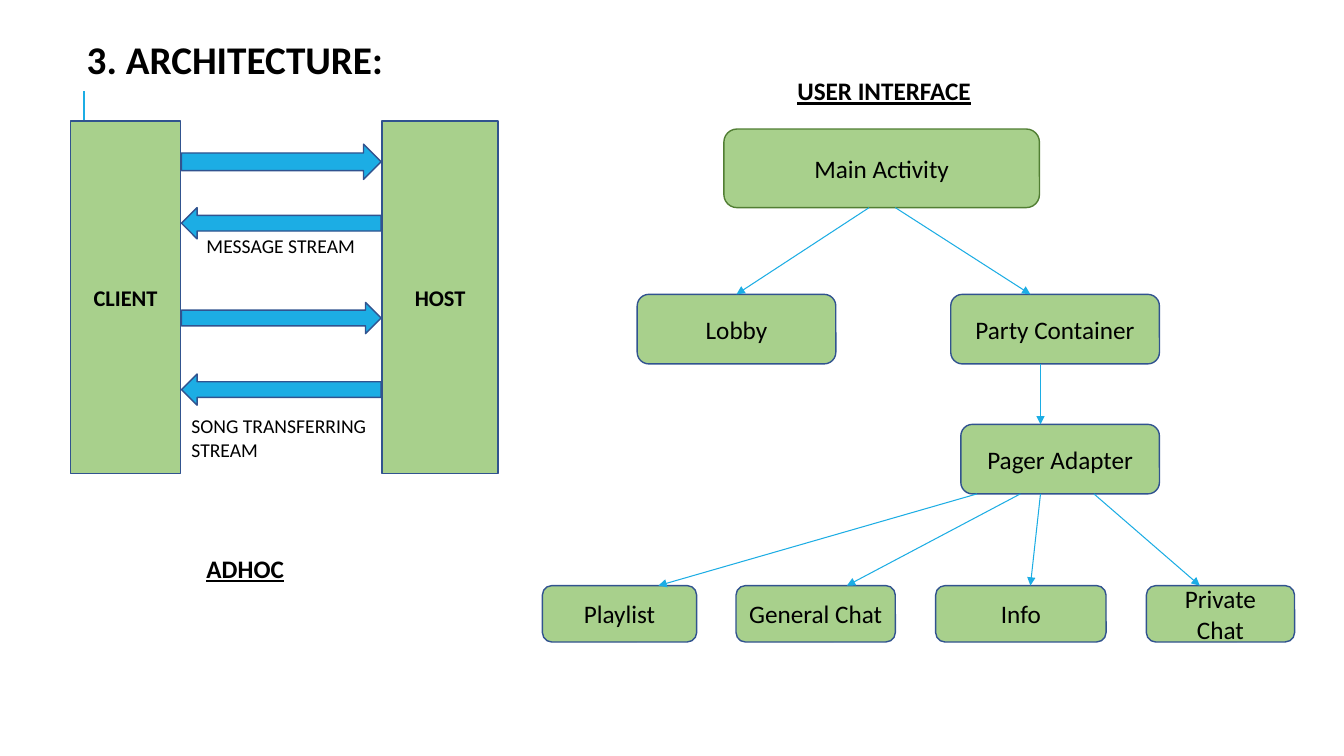
from lxml import etree
from pptx import Presentation
from pptx import util as u
from pptx.dml.color import RGBColor
from pptx.enum import shapes, text
from pptx.oxml.ns import qn

COLORS = {"box": "A8D08C", "edge": "31538F", "root_edge": "517E33",
          "accent": "1CADE4", "ink": "000000"}
FONT = "Calibri"
SLIDE_W, SLIDE_H = u.Inches(13.33), u.Inches(7.5)
CELL = SLIDE_H / 75  # side of one square grid cell; the slide has 75 rows
KIND = shapes.MSO_SHAPE


def color(name):
    return RGBColor.from_string(COLORS[name])


def cells(*counts):
    return [u.Emu(round(n * CELL)) for n in counts]


def write(holder, words, size, bold=False, underline=False, inset=0.05,
          align=text.PP_ALIGN.LEFT, anchor=text.MSO_ANCHOR.TOP):
    frame = holder.text_frame
    frame.word_wrap = True
    frame.auto_size = text.MSO_AUTO_SIZE.NONE
    frame.vertical_anchor = anchor
    frame.margin_left = frame.margin_right = u.Inches(0.1)
    frame.margin_top = frame.margin_bottom = u.Inches(inset)
    paragraph = frame.paragraphs[0]
    paragraph.alignment = align
    run = paragraph.add_run()
    run.text = words
    run.font.name, run.font.size = FONT, u.Pt(size)
    run.font.bold, run.font.underline = bold, underline
    run.font.color.rgb = color("ink")


def add_label(slide, box, words, size, **style):
    write(slide.shapes.add_textbox(*cells(*box)), words, size, **style)


def add_block(slide, kind, box, fill="box", edge="edge"):
    block = slide.shapes.add_shape(kind, *cells(*box))
    block.shadow.inherit = False
    block.fill.solid()
    block.fill.fore_color.rgb = color(fill)
    block.line.color.rgb = color(edge)
    block.line.width = u.Pt(1)
    return block


def add_node(slide, kind, box, words, size, bold=False, edge="edge"):
    node = add_block(slide, kind, box, edge=edge)
    write(node, words, size, bold, align=text.PP_ALIGN.CENTER,
          anchor=text.MSO_ANCHOR.MIDDLE)
    return node


def add_line(slide, start, end, width, arrow=False):
    line = slide.shapes.add_connector(shapes.MSO_CONNECTOR.STRAIGHT,
                                      *cells(*start, *end))
    line.line.color.rgb = color("accent")
    line.line.width = u.Pt(width)
    if arrow:
        outline = line.line._get_or_add_ln()
        etree.SubElement(outline, qn("a:tailEnd"), type="triangle")
    etree.SubElement(line._element.spPr, qn("a:effectLst"))
    return line


def add_title(slide, box):
    title = slide.shapes.title
    title.left, title.top, title.width, title.height = cells(*box)
    write(title, "3. ARCHITECTURE:", 28, bold=True, inset=0.1,
          anchor=text.MSO_ANCHOR.MIDDLE)
    title.text_frame.margin_left = u.Inches(0.26)
    title.text_frame.paragraphs[0].line_spacing = 0.9


def add_adhoc(slide, box):
    """Client and host exchanging two streams."""
    left, top, width, height = box
    client_w, host_w = 10.9, 11.5
    add_line(slide, (left + 1.3, top + 7), (left + 1.3, top - 3), 1.5)
    for words, x, w in (("CLIENT", left, client_w),
                        ("HOST", left + width - host_w, host_w)):
        add_node(slide, KIND.FLOWCHART_PROCESS, (x, top, w, height),
                 words, 16, bold=True)

    gap = left + client_w + 0.1
    stream_w = width - client_w - host_w - 0.2
    for kind, y, h in ((KIND.RIGHT_ARROW, 2.3, 3.5),
                       (KIND.LEFT_ARROW, 8.6, 3.1),
                       (KIND.RIGHT_ARROW, 18, 3.1),
                       (KIND.LEFT_ARROW, 25.1, 3.1)):
        add_block(slide, kind, (gap, top + y, stream_w, h), fill="accent")

    add_label(slide, (gap + 1.5, top + 10.7, 20.4, 3.4), "MESSAGE STREAM", 14)
    add_label(slide, (gap, top + 28.6, 21.3, 5.7),
              "SONG TRANSFERRING STREAM", 14)
    add_label(slide, (gap + 1.5, top + 42.4, 16.3, 3.1), "ADHOC", 18,
              bold=True, underline=True)


def add_interface(slide, box):
    """Tree of screens, one tier below another."""
    left, top = box[:2]
    add_label(slide, (left + 24.3, top, 30.4, 5.6), "USER INTERFACE", 18,
              bold=True, underline=True, inset=0.1)

    # Each tier: top, height, then (words, left, width) of its screens
    tiers = [
        (6.3, 7.8, [("Main Activity", 18, 31.3)]),
        (22.7, 6.9, [("Lobby", 9.4, 19.7), ("Party Container", 40.5, 20.7)]),
        (35.6, 6.9, [("Pager Adapter", 41.5, 19.7)]),
        (51.6, 5.6, [("Playlist", 0, 15.3), ("General Chat", 19.2, 15.8),
                     ("Info", 39, 16.9), ("Private Chat", 59.9, 14.7)]),
    ]
    screens = {}
    for y, h, row in tiers:
        for words, x, w in row:
            edge = "root_edge" if words == "Main Activity" else "edge"
            screens[words] = add_node(
                slide, KIND.ROUNDED_RECTANGLE, (left + x, top + y, w, h),
                words, 18, edge=edge)

    # Links leaving each tier: (x at its bottom, x at the next tier's top)
    links = [
        [(32.4, 19.2), (35, 48.4)],
        [(49.4, 49.4)],
        [(43.1, 11.5), (47.4, 30.2), (49.4, 48.4), (54.7, 65.2)],
    ]
    arrows = [
        add_line(slide, (left + x1, top + y + h),
                 (left + x2, top + next_y), 0.75, arrow=True)
        for (y, h, _), (next_y, *_), spans in zip(tiers, tiers[1:], links)
        for x1, x2 in spans
    ]
    arrows[0].end_connect(screens["Lobby"], 0)


def main():
    deck = Presentation()
    deck.slide_width, deck.slide_height = SLIDE_W, SLIDE_H
    slide = deck.slides.add_slide(deck.slide_layouts[5])
    add_adhoc(slide, (7, 12, 42.4, 35))
    add_interface(slide, (53.8, 6.5, 74.6, 57.2))
    add_title(slide, (6, 1.8, 46.2, 8.6))
    deck.save("out.pptx")


if __name__ == "__main__":
    main()
